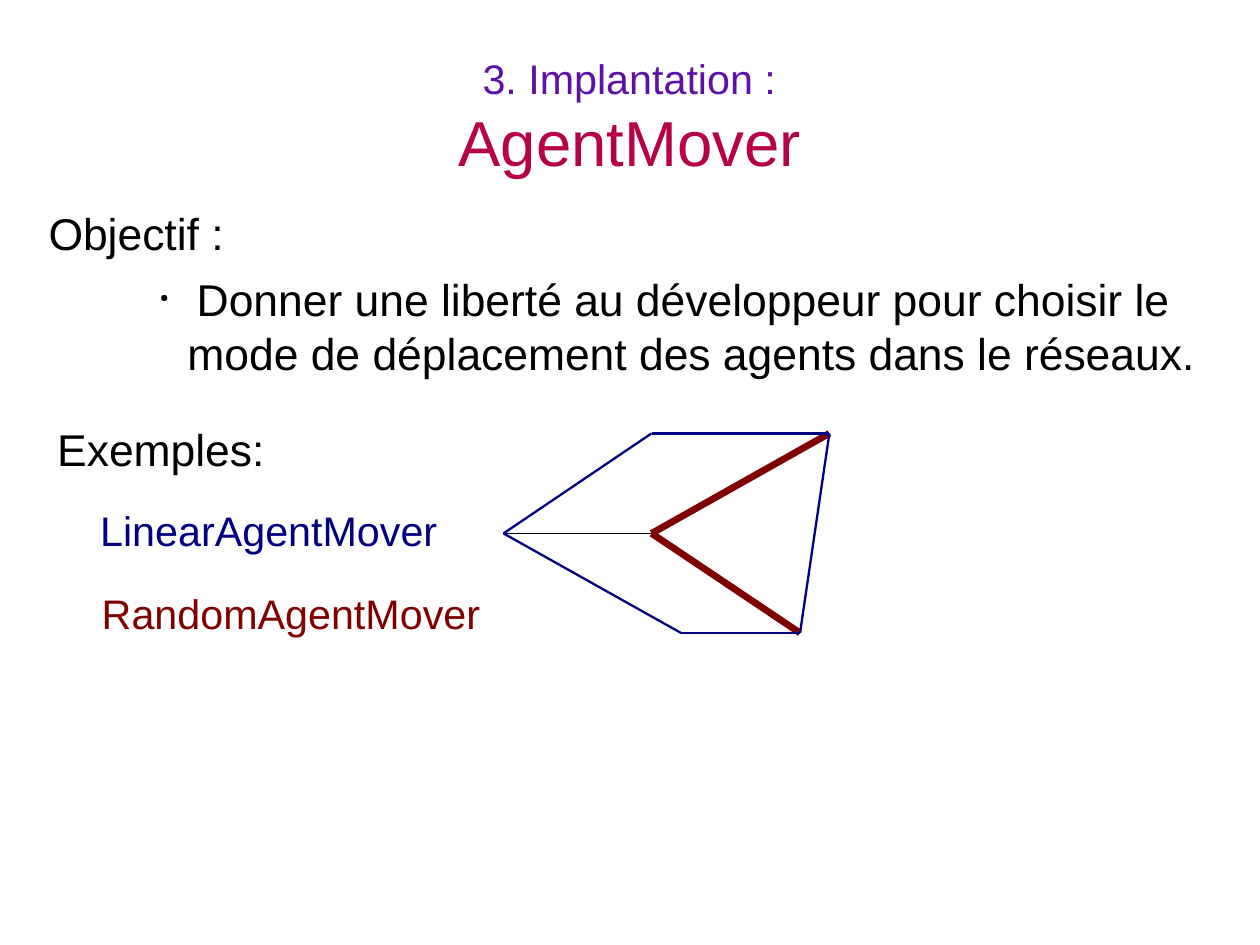
from dataclasses import dataclass

from lxml.etree import SubElement
from pptx import Presentation
from pptx.dml.color import RGBColor
from pptx.enum.shapes import MSO_CONNECTOR
from pptx.enum.text import MSO_ANCHOR, MSO_AUTO_SIZE, PP_ALIGN
from pptx.oxml.ns import qn
from pptx.util import Pt


@dataclass(frozen=True)
class Theme:
    font: str = "Arial"
    black: str = "000000"
    violet: str = "5E11A6"
    crimson: str = "B80047"
    navy: str = "000080"
    maroon: str = "800000"
    heading: int = 40
    body: int = 28
    label: int = 26
    gap: int = 21
    hairline: float = 0.01
    thin: float = 1.45
    thick: float = 4.31


THEME = Theme()

# Network nodes, in points
SOURCE = (317.2, 336)
CENTRE = (410.5, 336)
TOP_LEFT = (410.5, 273)
TOP_RIGHT = (522.5, 273)
BOTTOM_LEFT = (429, 398.7)
BOTTOM_RIGHT = (504, 398.7)


def add_text_frame(slide, left, top, width, height, **formats):
    box = slide.shapes.add_textbox(*map(Pt, (left, top, width, height)))
    frame = box.text_frame
    settings = {"auto_size": MSO_AUTO_SIZE.SHAPE_TO_FIT_TEXT, "word_wrap": False}
    for name, value in (settings | formats).items():
        setattr(frame, name, value)
    return frame


def add_run(paragraph, text, size, color):
    run = paragraph.add_run()
    run.text = text
    for name, value in {"name": THEME.font, "size": Pt(size)}.items():
        setattr(run.font, name, value)
    run.font.color.rgb = RGBColor.from_string(color)


def add_title(slide):
    margins = {f"margin_{side}": 0 for side in ("left", "top", "right", "bottom")}
    frame = add_text_frame(slide, 39.5, 23.5, 714.2, 99.2, word_wrap=True,
                           vertical_anchor=MSO_ANCHOR.MIDDLE, **margins)
    title = frame.paragraphs[0]
    title.alignment = PP_ALIGN.CENTER
    add_run(title, "3. Implantation :", THEME.label, THEME.violet)
    title.add_line_break()
    add_run(title, "AgentMover", THEME.heading, THEME.crimson)


def set_bullet(paragraph, margin, indent, percent):
    properties = paragraph._p.get_or_add_pPr()
    properties.set("marL", str(Pt(margin)))
    properties.set("indent", str(Pt(indent)))
    color = SubElement(properties, qn("a:buClr"))
    SubElement(color, qn("a:srgbClr"), val=THEME.black)
    SubElement(properties, qn("a:buSzPct"), val=str(percent * 1000))
    SubElement(properties, qn("a:buChar"), char="●")


def add_objective(slide):
    frame = add_text_frame(slide, -8, 168, 896, 102, word_wrap=True)
    objective = frame.paragraphs[0]
    set_bullet(objective, margin=119, indent=-17.3, percent=32)
    add_run(objective, " ", THEME.gap, THEME.black)
    add_run(objective, "Donner une liberté au développeur pour choisir le ",
            THEME.body, THEME.black)
    objective.add_line_break()
    add_run(objective, "mode de déplacement des agents dans le réseaux.",
            THEME.body, THEME.black)


def add_label(slide, text, bounds, size, color):
    frame = add_text_frame(slide, *bounds)
    add_run(frame.paragraphs[0], text, size, color)


def add_route(slide, stops, color, width):
    """Draw one line between each pair of successive stops."""
    for start, end in zip(stops, stops[1:]):
        link = slide.shapes.add_connector(
            MSO_CONNECTOR.STRAIGHT, *map(Pt, start + end))
        link.line.color.rgb = RGBColor.from_string(color)
        link.line.width = Pt(width)
        SubElement(link._element.spPr, qn("a:effectLst"))


def main():
    deck = Presentation()
    deck.slide_width, deck.slide_height = Pt(793.75), Pt(595.25)
    slide = deck.slides.add_slide(deck.slide_layouts[6])

    add_title(slide)
    add_objective(slide)
    labels = [
        ("Objectif :", (23.5, 126, 126, 38), THEME.body, THEME.black),
        ("Exemples:", (29, 262, 150, 38), THEME.body, THEME.black),
        ("LinearAgentMover", (56, 314.6, 230, 36), THEME.label, THEME.navy),
        ("RandomAgentMover", (57, 366.8, 256, 36), THEME.label, THEME.maroon),
    ]
    for label in labels:
        add_label(slide, *label)

    routes = [
        ([SOURCE, CENTRE], THEME.black, THEME.hairline),
        ([BOTTOM_RIGHT, CENTRE, TOP_RIGHT], THEME.maroon, THEME.thick),
        ([SOURCE, TOP_LEFT, TOP_RIGHT, BOTTOM_RIGHT, BOTTOM_LEFT, SOURCE],
         THEME.navy, THEME.thin),
    ]
    for route in routes:
        add_route(slide, *route)

    deck.save("out.pptx")


if __name__ == "__main__":
    main()
